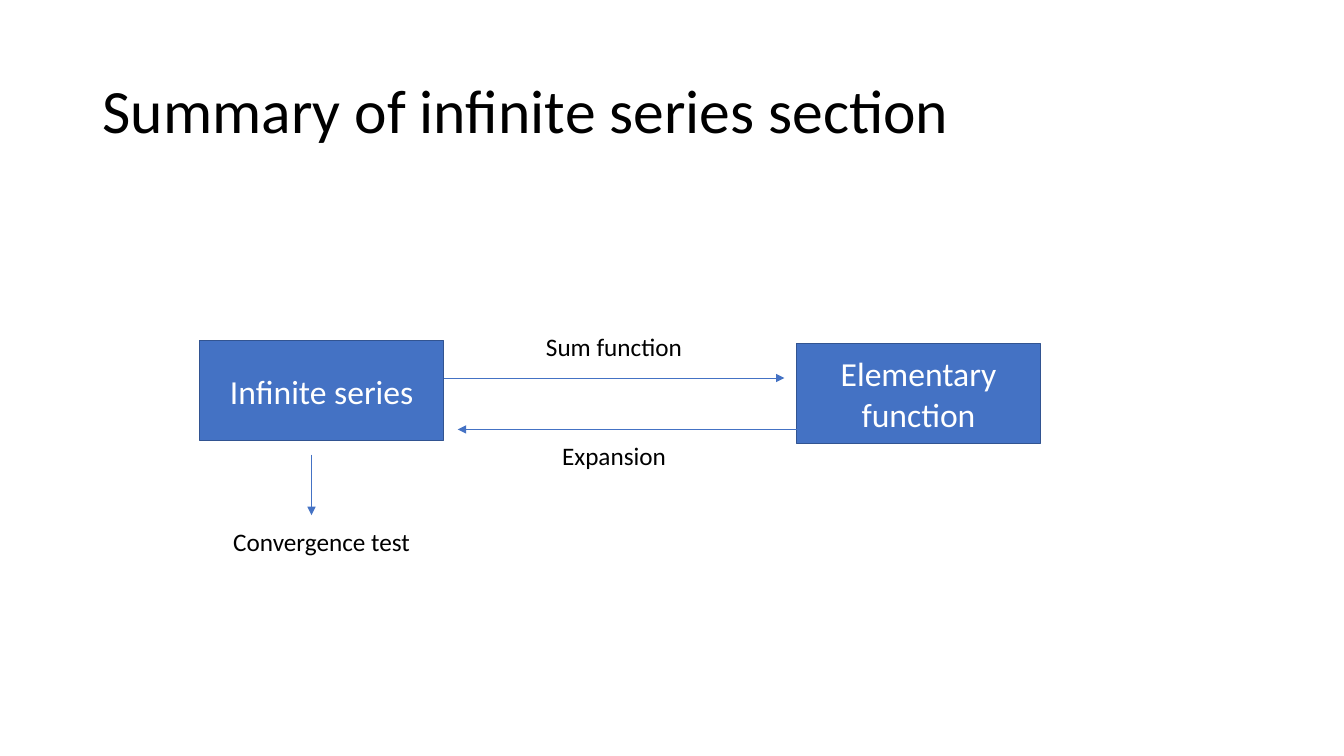
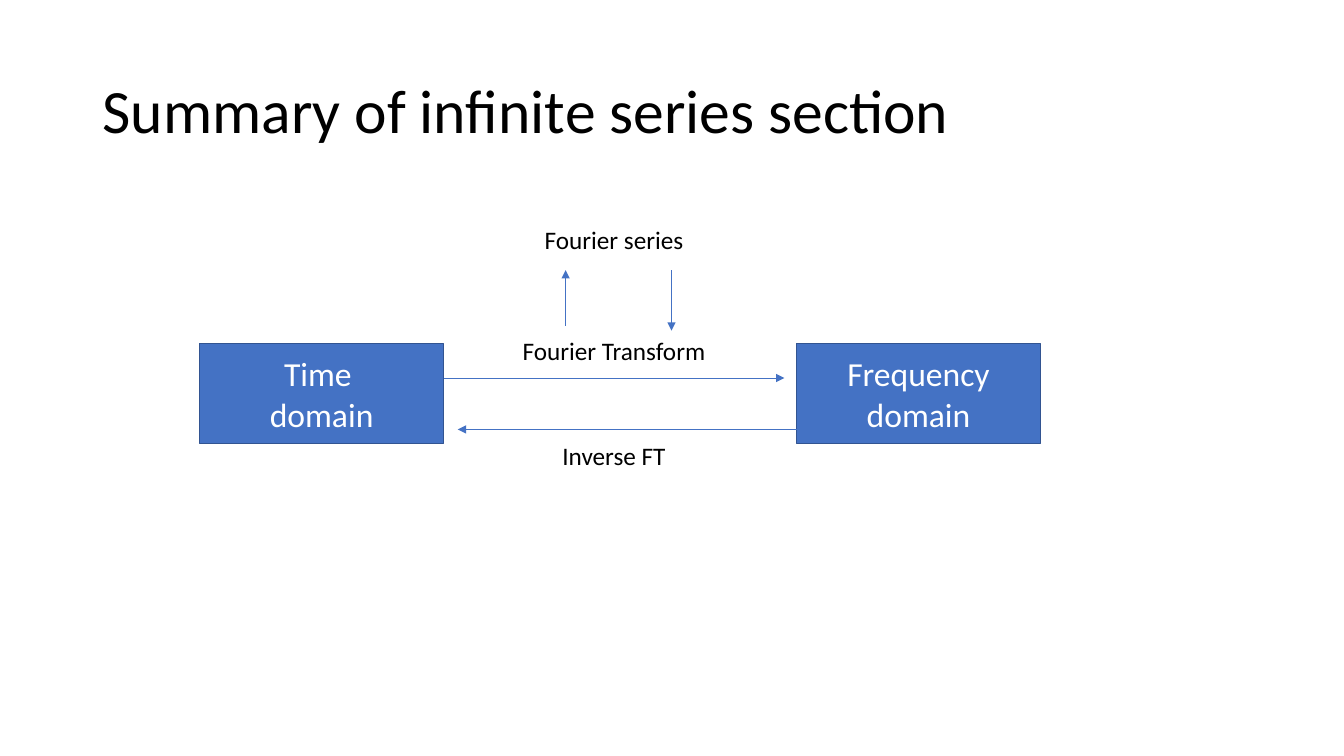
from collections import namedtuple

from lxml import etree
from pptx import Presentation
from pptx.dml.color import RGBColor
from pptx.enum.shapes import MSO_CONNECTOR, MSO_SHAPE
from pptx.enum.text import MSO_ANCHOR, PP_ALIGN
from pptx.oxml.ns import qn
from pptx.util import Inches, Pt

FONT = "Calibri"
BLACK = RGBColor(0x00, 0x00, 0x00)
WHITE = RGBColor(0xFF, 0xFF, 0xFF)
BLUE = RGBColor(0x44, 0x72, 0xC4)
DARK_BLUE = RGBColor(0x32, 0x54, 0x91)

# Positions and sizes are in inches.
Box = namedtuple("Box", "left top width height")
TITLE_BOX = Box(0.92, 0.4, 11.5, 1.45)
LEFT_BOX = Box(1.98, 3.41, 2.42, 0.99)
RIGHT_BOX = LEFT_BOX._replace(left=7.9)
RAISED_LEFT_BOX = LEFT_BOX._replace(top=3.38)

LABEL_WIDTH = 2.4
LABEL_HEIGHT = 0.4


def write_text(shape, text, size, color, alignment, anchor):
    frame = shape.text_frame
    frame.word_wrap = True
    frame.vertical_anchor = anchor
    frame.text = text
    for paragraph in frame.paragraphs:
        paragraph.alignment = alignment
        for run in paragraph.runs:
            run.font.name = FONT
            run.font.size = Pt(size)
            run.font.color.rgb = color


def add_title(slide, text, box=TITLE_BOX):
    title = slide.shapes.add_textbox(*map(Inches, box))
    write_text(title, text, 44, BLACK, PP_ALIGN.LEFT, MSO_ANCHOR.MIDDLE)
    title.text_frame.paragraphs[0].line_spacing = 0.9


def add_node(slide, text, box):
    node = slide.shapes.add_shape(MSO_SHAPE.RECTANGLE, *map(Inches, box))
    node.shadow.inherit = False
    node.fill.solid()
    node.fill.fore_color.rgb = BLUE
    node.line.color.rgb = DARK_BLUE
    node.line.width = Pt(1)
    write_text(node, text, 24, WHITE, PP_ALIGN.CENTER, MSO_ANCHOR.MIDDLE)


def add_label(slide, text, center, top):
    """Add a caption centred on a horizontal position."""
    box = Box(center - LABEL_WIDTH / 2, top, LABEL_WIDTH, LABEL_HEIGHT)
    label = slide.shapes.add_textbox(*map(Inches, box))
    write_text(label, text, 18, BLACK, PP_ALIGN.CENTER, MSO_ANCHOR.TOP)


def add_arrow(slide, start, end):
    arrow = slide.shapes.add_connector(
        MSO_CONNECTOR.STRAIGHT, *map(Inches, (*start, *end)))
    arrow.line.color.rgb = BLUE
    arrow.line.width = Pt(0.5)
    outline = arrow.line._get_or_add_ln()
    etree.SubElement(outline, qn("a:tailEnd"), type="triangle")
    etree.SubElement(arrow._element.spPr, qn("a:effectLst"))


def add_exchange(slide, left_node, right_node, forward, backward,
                 left_box=LEFT_BOX, right_box=RIGHT_BOX, forward_lift=0.47):
    """Link two nodes with arrows both ways; return the labels' centre."""
    add_node(slide, left_node, left_box)
    add_node(slide, right_node, right_box)
    left_edge = left_box.left + left_box.width
    right_edge = right_box.left
    forward_y = right_box.top + 0.34
    backward_y = right_box.top + 0.85
    forward_end = right_edge - 0.12
    add_arrow(slide, (left_edge, forward_y), (forward_end, forward_y))
    add_arrow(slide, (right_edge, backward_y), (left_edge + 0.14, backward_y))
    center = (left_edge + forward_end) / 2
    add_label(slide, forward, center, forward_y - forward_lift)
    add_label(slide, backward, center, backward_y + 0.06)
    return center


def add_branch_below(slide, text, box):
    center = box.left + box.width / 2
    bottom = box.top + box.height
    add_arrow(slide, (center - 0.1, bottom + 0.14), (center - 0.1, bottom + 0.74))
    add_label(slide, text, center, bottom + 0.8)


def add_loop_above(slide, text, center, bottom):
    """Add a label joined to the one beneath it by an up and a down arrow."""
    top = bottom - 0.6
    add_label(slide, text, center, top - 0.5)
    add_arrow(slide, (center - 0.48, bottom - 0.05), (center - 0.48, top))
    add_arrow(slide, (center + 0.57, top), (center + 0.57, bottom))


def build_series_slide(slide):
    add_exchange(slide, "Infinite series", "Elementary function",
                 "Sum function", "Expansion",
                 left_box=RAISED_LEFT_BOX, forward_lift=0.51)
    add_branch_below(slide, "Convergence test", RAISED_LEFT_BOX)


def build_fourier_slide(slide):
    center = add_exchange(slide, "Time \ndomain", "Frequency domain",
                          "Fourier Transform", "Inverse FT")
    add_loop_above(slide, "Fourier series", center, LEFT_BOX.top - 0.13)


def main():
    presentation = Presentation()
    presentation.slide_width = Inches(13.33)
    presentation.slide_height = Inches(7.5)
    for build in (build_series_slide, build_fourier_slide):
        slide = presentation.slides.add_slide(presentation.slide_layouts[6])
        add_title(slide, "Summary of infinite series section")
        build(slide)
    presentation.save("out.pptx")


if __name__ == "__main__":
    main()
